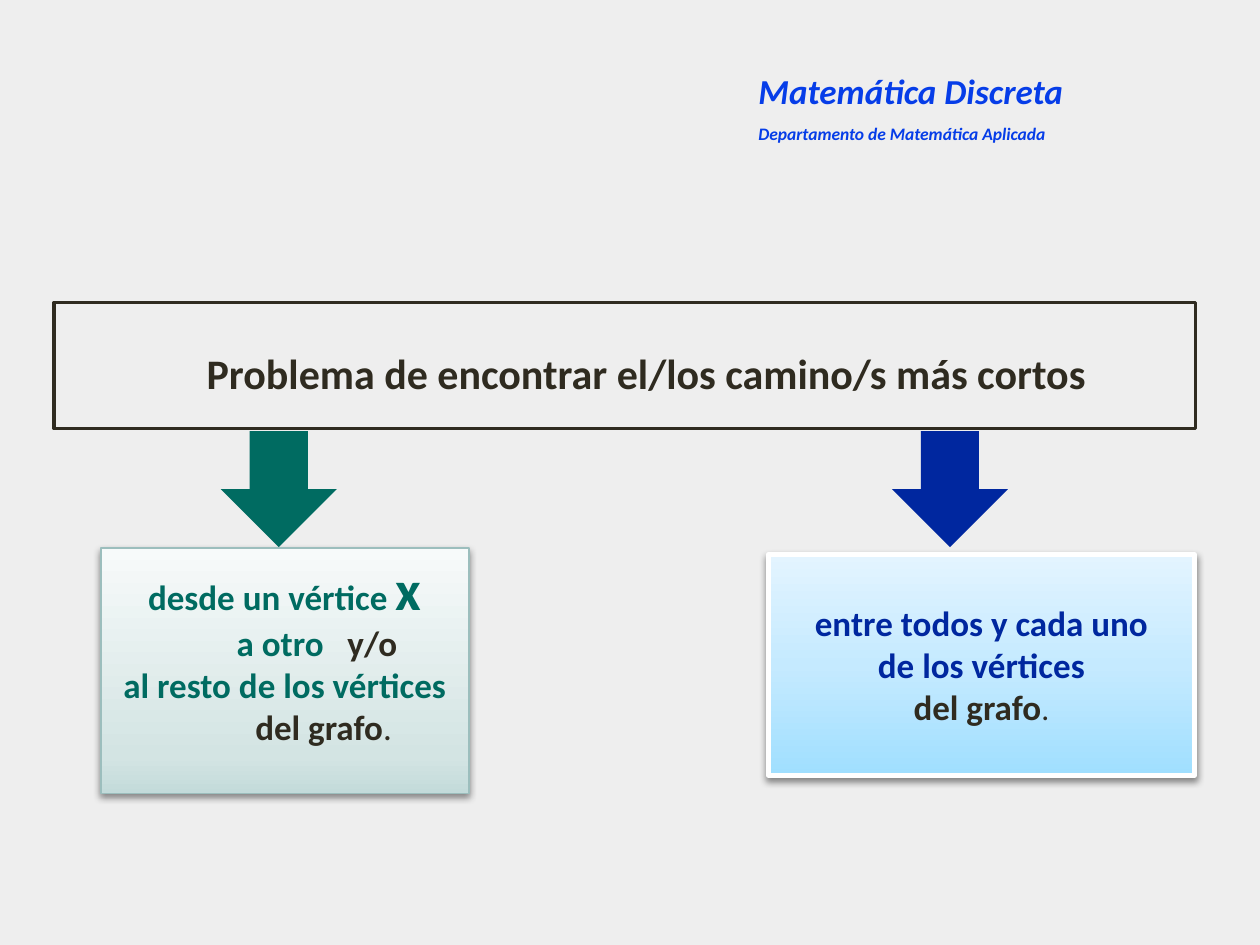
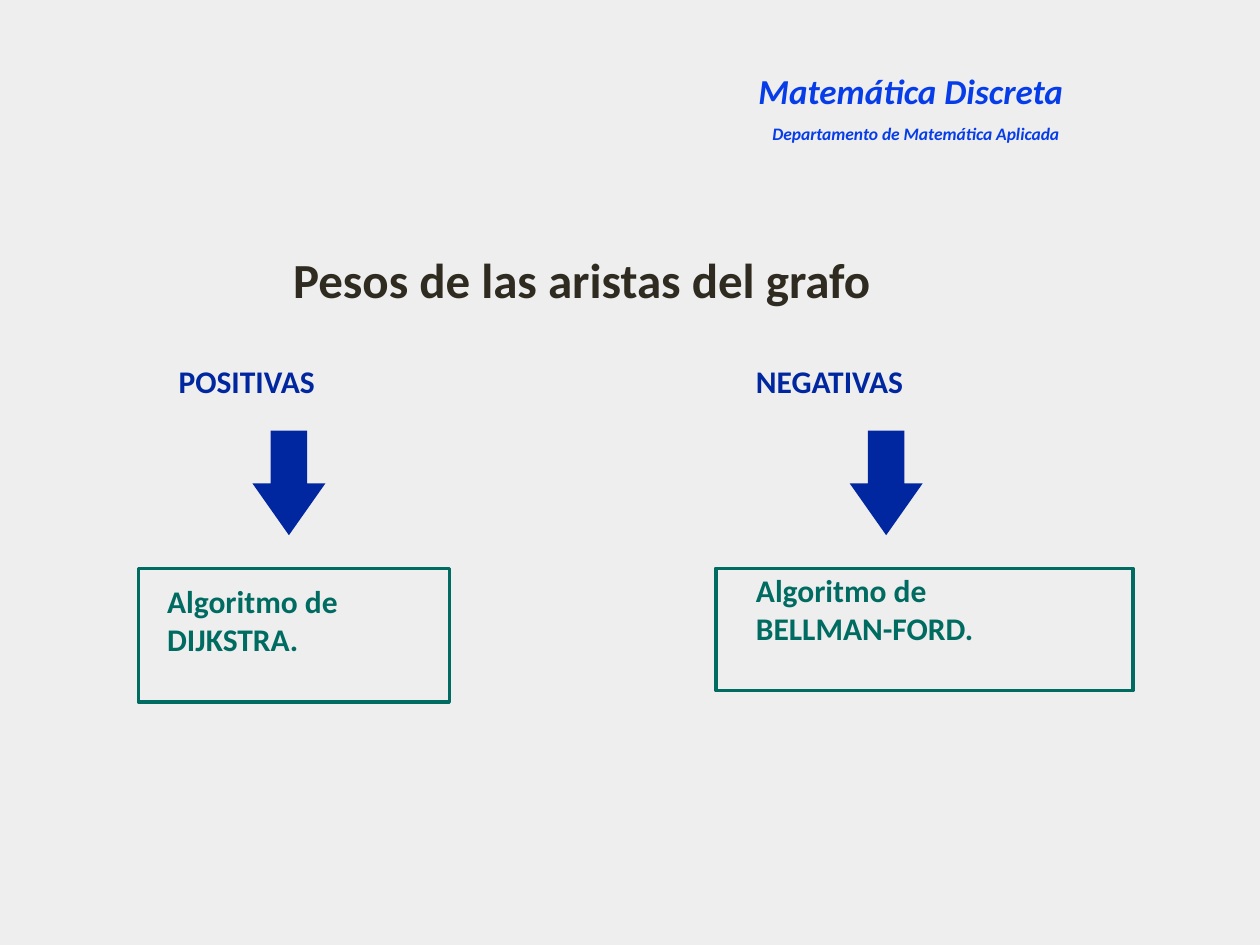
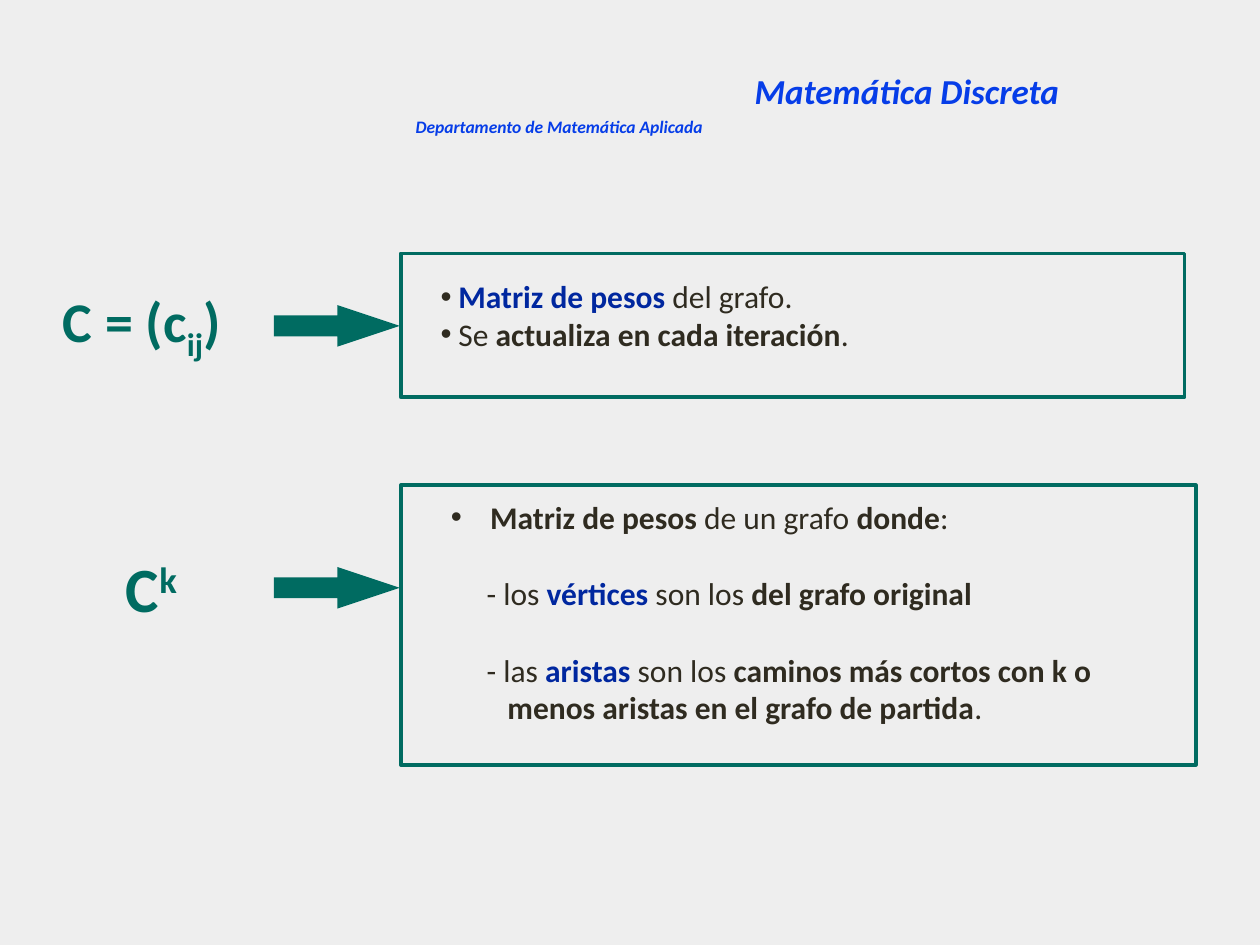
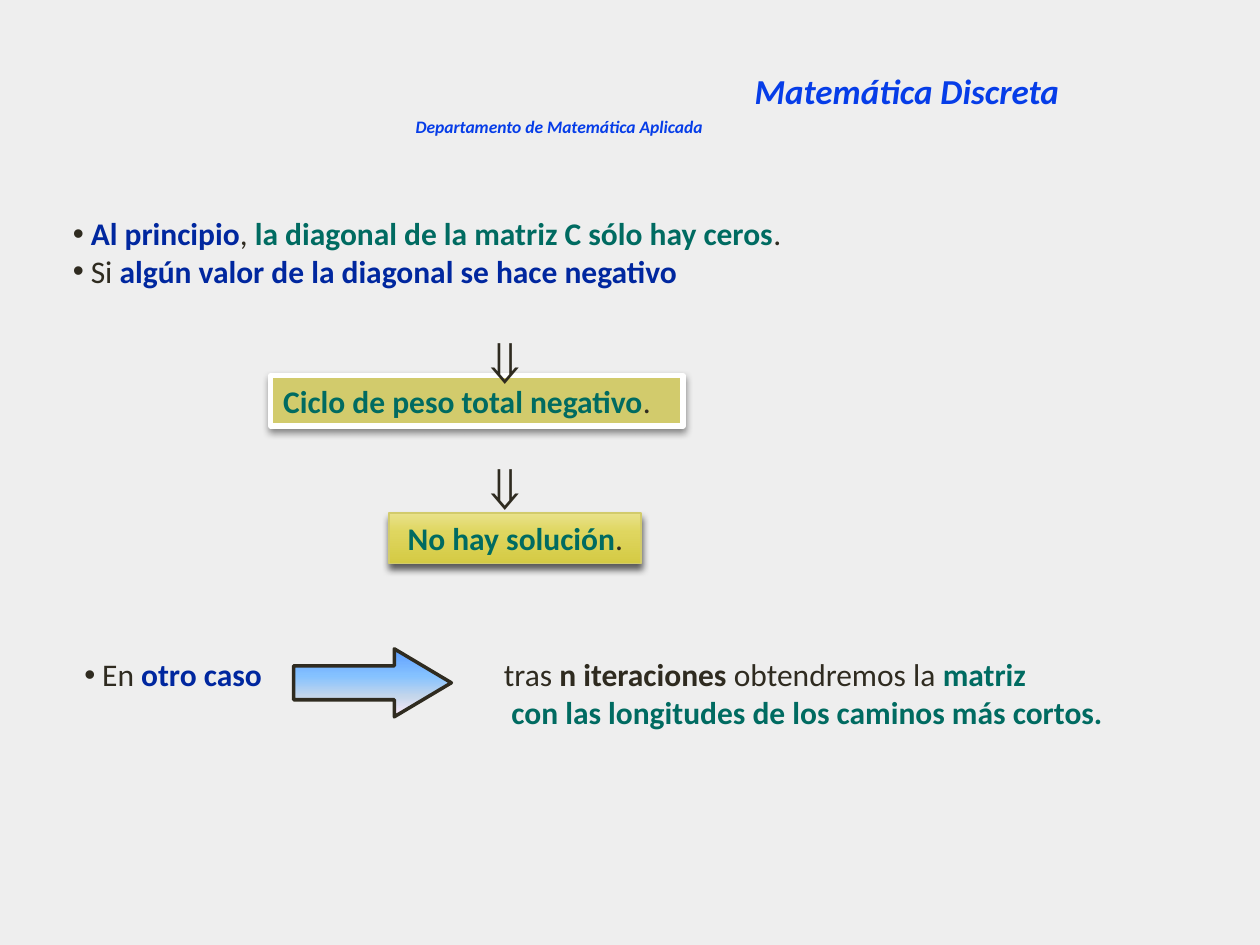
from lxml import etree
from pptx import Presentation
from pptx import util as u
from pptx.dml.color import RGBColor
from pptx.enum import shapes, text
from pptx.oxml.ns import qn

COLORS = {
    "ground": "EEEEEE", "ink": "2F2B20", "header": "063DE8", "green": "006B61",
    "blue": "00279F", "sage": "9CBEBD", "white": "FFFFFF", "olive": "D2CB6C",
}
GRADIENTS = {
    "sage": [(0, "C3DBDA"), (15, "D3E4E3"), (100, "F7FAFA")],
    "sky": [(0, "A0DFFF"), (50, "C5EAFF"), (100, "E3F4FF")],
    "gold": [(0, "D4CA44"), (62, "DFD65F"), (100, "E9E28C")],
    "dawn": [(0, "5E9EFF"), (40, "85C2FF"), (70, "C4D6EB"), (100, "FFEBFA")],
}
BOLD = {"bold": True}
BLUE = {"bold": True, "color": "blue"}
GREEN = {"bold": True, "color": "green"}
INK = {"bold": True, "color": "ink"}
PLAIN = {"bold": False, "color": "ink"}
RECTANGLE = shapes.MSO_SHAPE.RECTANGLE
DOWN = shapes.MSO_SHAPE.DOWN_ARROW
RIGHT = shapes.MSO_SHAPE.RIGHT_ARROW
CENTER = text.PP_ALIGN.CENTER
MIDDLE = text.MSO_ANCHOR.MIDDLE


def rgb(name):
    """Return the palette colour of that name."""
    return RGBColor.from_string(COLORS[name])


def place(shape, box):
    """Move a shape to a box of left, top, width and height in centimetres."""
    shape.left, shape.top, shape.width, shape.height = map(u.Cm, box)


def add_span(para, words, size=18, font="Calibri", color="ink", bold=False,
             italic=False, baseline=0, spacing=0):
    """Add one formatted run to a paragraph."""
    span = para.add_run()
    span.text = words
    span.font.name, span.font.size = font, u.Pt(size)
    span.font.bold, span.font.italic = bold, italic
    span.font.color.rgb = rgb(color)
    for key, value in (("baseline", baseline * 1000), ("spc", spacing * 100)):
        if value:
            span.font._element.set(key, str(value))


def format_para(para, align=None, left=0, hang=0, before=0, bullet=False):
    """Set alignment, indents, spacing and bullet of a paragraph."""
    para.alignment = align
    para.space_before = u.Pt(before)
    properties = para._p.get_or_add_pPr()
    properties.set("marL", str(u.Cm(left)))
    properties.set("indent", str(u.Cm(-hang)))
    if bullet:
        color = etree.SubElement(properties, qn("a:buClr"))
        etree.SubElement(color, qn("a:srgbClr"), val=COLORS["ink"])
        etree.SubElement(properties, qn("a:buFont"), typeface="Arial")
        etree.SubElement(properties, qn("a:buChar"), char="•")
    else:
        etree.SubElement(properties, qn("a:buNone"))


def write(shape, lines, align=None, anchor=text.MSO_ANCHOR.TOP, inset=0.25, layouts=None, **style):
    """Fill a shape with lines of plain words or of (words, style) spans."""
    frame = shape.text_frame
    frame.word_wrap, frame.auto_size = True, text.MSO_AUTO_SIZE.NONE
    frame.vertical_anchor = anchor
    frame.margin_left, frame.margin_right = u.Cm(inset), u.Cm(0.25)
    frame.margin_top = frame.margin_bottom = u.Cm(0.13)
    for index, line in enumerate(lines):
        para = frame.add_paragraph() if index else frame.paragraphs[0]
        format_para(para, **{"align": align, **(layouts[index] if layouts else {})})
        for words, change in [(line, {})] if isinstance(line, str) else line:
            add_span(para, words, **{**style, **change})
    return shape


def add_text(page, box, lines, **style):
    """Add a text box."""
    return write(page.shapes.add_textbox(*map(u.Cm, box)), lines, **style)


def add_list(page, index, box, lines, layouts):
    """Move and fill a body placeholder."""
    body = page.placeholders[index]
    place(body, box)
    write(body, lines, layouts=layouts)


def paint_gradient(shape, name, angle):
    """Fill a shape with a named gradient."""
    shape.fill.gradient()
    shape.fill.gradient_angle = angle
    stops = shape._element.spPr.find(".//" + qn("a:gsLst"))
    for stop in list(stops):
        stops.remove(stop)
    for position, color in GRADIENTS[name]:
        stop = etree.SubElement(stops, qn("a:gs"), pos=str(position * 1000))
        etree.SubElement(stop, qn("a:srgbClr"), val=color)


def cast_shadow(shape, alpha, distance):
    """Give a shape a soft shadow below it."""
    effects = shape._element.spPr.find(qn("a:effectLst"))
    shadow = etree.SubElement(effects, qn("a:outerShdw"), blurRad=str(u.Pt(4)),
                              dist=str(u.Pt(distance)), dir="5400000", rotWithShape="0")
    color = etree.SubElement(shadow, qn("a:srgbClr"), val="000000")
    etree.SubElement(color, qn("a:alpha"), val=str(alpha * 1000))


def add_figure(page, kind, box, fill=None, gradient=None, angle=90, line=None,
               width=2, shadow=None, adjust=()):
    """Add a preset shape with its fill, line and shadow."""
    shape = page.shapes.add_shape(kind, *map(u.Cm, box))
    shape.shadow.inherit = False
    for index, value in enumerate(adjust):
        shape.adjustments[index] = value
    if gradient:
        paint_gradient(shape, gradient, angle)
    elif fill:
        shape.fill.solid()
        shape.fill.fore_color.rgb = rgb(fill)
    else:
        shape.fill.background()
    if line:
        shape.line.color.rgb = rgb(line)
        shape.line.width = u.Pt(width)
    else:
        shape.line.fill.background()
    if shadow:
        cast_shadow(shape, *shadow)
    return shape


def add_page(deck, layout, title_at, department_at):
    """Add a slide with the course title and the department."""
    page = deck.slides.add_slide(deck.slide_layouts[layout])
    style = {"color": "header", "bold": True, "italic": True}
    place(page.shapes.title, (*title_at, 10.16, 1.09))
    write(page.shapes.title, ["Matemática Discreta"], align=text.PP_ALIGN.LEFT, size=20, **style)
    add_text(page, (*department_at, 6.6, 0.66), ["Departamento de Matemática Aplicada"],
             size=10, **style)
    return page


def build_problem(deck):
    """Build the slide with the two kinds of shortest path problem."""
    page = add_page(deck, 5, (15.04, 1.27), (15.04, 2.36))
    add_text(page, (2.08, 6.1, 20.42, 2.82), ["Problema de encontrar el/los camino/s más cortos"],
             align=CENTER, anchor=MIDDLE, inset=1.73, size=24, bold=True)
    add_figure(page, RECTANGLE, (1.09, 6.1, 23.01, 2.54), line="ink")
    for left, color in ((4.45, "green"), (17.98, "blue")):
        add_figure(page, DOWN, (left, 8.69, 2.34, 2.34), fill=color, adjust=(0.5, 0.5))
    single = add_figure(page, RECTANGLE, (2.03, 11.05, 7.42, 4.95), gradient="sage",
                        line="sage", width=1, shadow=(43, 2))
    write(single, [
        [("desde un vértice ", {}), ("x", {"size": 32})],
        [("a otro", {}), (" ", {"spacing": 9}), ("y/o", INK)],
        "al resto de los vértices",
        [("del grafo", INK), (".", PLAIN)],
    ], align=CENTER, layouts=[{}, {"left": 1.3}, {}, {"left": 1.57}], size=20, **GREEN)
    every = add_figure(page, RECTANGLE, (15.49, 11.18, 8.59, 4.45), gradient="sky",
                       line="white", width=3, shadow=(43, 2))
    write(every, [
        "entre todos y cada uno",
        "de los vértices",
        [("del grafo", INK), (".", {**PLAIN, "size": 18})],
    ], align=CENTER, anchor=MIDDLE, size=20, **BLUE)


def add_branch(page, box, sign, algorithm, arrow_in, name_in):
    """Add a sign, an arrow and the framed algorithm that serves it."""
    left, top, width, height = box
    add_text(page, (left + 0.56, top - 4.3, 5.3, 1.27), [sign], **BLUE)
    add_figure(page, DOWN, (left + arrow_in, top - 2.78, 1.47, 2.11), fill="blue",
               adjust=(0.5, 0.71))
    across, down = name_in
    add_text(page, (left + across, top + down, width - across, 2.29),
             ["Algoritmo de", algorithm], **GREEN)
    add_figure(page, RECTANGLE, box, line="green")


def build_weights(deck):
    """Build the slide that picks an algorithm by the sign of the weights."""
    page = add_page(deck, 5, (15.04, 1.27), (15.32, 2.36))
    add_text(page, (5.66, 4.9, 12.47, 1.42), ["Pesos de las aristas del grafo"],
             size=28, bold=True)
    add_branch(page, (2.79, 11.46, 6.27, 2.69), "POSITIVAS", "DIJKSTRA.", 2.3, (0.33, 0.15))
    add_branch(page, (14.43, 11.46, 8.41, 2.46), "NEGATIVAS", "BELLMAN-FORD.", 2.7, (0.56, -0.08))


def add_definition(page, box, arrow_in, symbol_box, symbol, size):
    """Add a symbol with an arrow to the frame that explains it."""
    left, top, _, _ = box
    add_text(page, symbol_box, [symbol], size=size, **GREEN)
    add_figure(page, RECTANGLE, box, line="green")
    add_figure(page, RIGHT, (left - 2.56, top + arrow_in, 2.54, 0.84), fill="green",
               adjust=(0.5, 1.5))


def build_matrices(deck):
    """Build the slide that defines the two matrices."""
    page = add_page(deck, 3, (14.96, 1.27), (8.13, 2.21))
    add_definition(page, (8.08, 5.11, 15.8, 2.9), 1.04, (1.02, 5.64, 4.24, 1.6),
                   [("C = (c", {}), ("ij", {"baseline": -25}), (")", {})], 32)
    add_definition(page, (8.08, 9.78, 16.03, 5.64), 1.65, (2.29, 10.95, 1.9, 1.78),
                   [("C", {}), ("k", {"baseline": 30})], 36)
    point = {"left": 0.79, "hang": 0.36, "bullet": True}
    add_list(page, 1, (8.2, 5.46, 12.62, 2.29), [
        [("Matriz de pesos ", BLUE), ("del grafo.", {})],
        [("Se ", {}), ("actualiza en cada iteración", BOLD), (".", {})],
    ], [point, point])
    add_list(page, 2, (8.84, 9.91, 15.44, 4.88), [
        [("Matriz de pesos ", BOLD), ("de un grafo ", {}), ("donde", BOLD), (":", {})],
        [("- los ", {}), ("vértices", BLUE), (" son los ", {}), ("del grafo original", BOLD)],
        [("- las ", {}), ("aristas", BLUE), (" son los ", {}),
         ("caminos más cortos con k o", BOLD)],
        [("menos aristas en el grafo de partida", BOLD), (".", {})],
    ], [{"left": 0.79, "hang": 0.79, "bullet": True}, {"left": 0.72, "before": 22},
        {"left": 0.72, "before": 22}, {"left": 1.14}])


def build_diagonal(deck):
    """Build the slide that reads the result from the diagonal."""
    page = add_page(deck, 1, (14.96, 1.27), (8.13, 2.21))
    point = {"left": 0.36, "hang": 0.36, "bullet": True}
    add_list(page, 1, (1.22, 4.19, 20.65, 2.29), [
        [("Al principio", BLUE), (", ", {}),
         ("la diagonal de la matriz C sólo hay ceros", GREEN), (".", {})],
        [("Si ", {}), ("algún valor de la diagonal se hace negativo", BLUE)],
    ], [point, point])
    cycle = add_figure(page, RECTANGLE, (5.46, 7.57, 8.31, 1.02), fill="olive",
                       line="white", width=3, shadow=(43, 2))
    write(cycle, [[("Ciclo de peso total negativo", GREEN), (".", {})]],
          align=text.PP_ALIGN.LEFT)
    unsolved = add_figure(page, RECTANGLE, (7.85, 10.34, 5.08, 1.02), gradient="gold",
                          line="olive", width=1, shadow=(61, 3))
    write(unsolved, [[("No hay solución", GREEN), (".", {})]], align=CENTER)
    for top in (6.35, 8.89):
        add_text(page, (9.47, top, 1.27, 1.78), ["⇓"], size=36, font="Arial", bold=True)
    add_text(page, (1.45, 13.08, 4.4, 1.02), [[("En ", {}), ("otro caso", BLUE)]],
             layouts=[point])
    add_figure(page, RIGHT, (5.92, 13.08, 3.18, 1.37), gradient="dawn", angle=270,
               line="ink", adjust=(0.5, 0.84))
    add_text(page, (9.91, 13.08, 14, 1.78), [
        [("tras ", {}), ("n iteraciones ", BOLD), ("obtendremos la ", {}), ("matriz", GREEN)],
        [("con las longitudes de los caminos más cortos.", GREEN)],
    ], layouts=[{}, {"left": 0.15}])


def main():
    """Build and save the deck."""
    deck = Presentation()
    deck.slide_width, deck.slide_height = u.Cm(25.4), u.Cm(19.05)
    ground = deck.slide_master.background.fill
    ground.solid()
    ground.fore_color.rgb = rgb("ground")
    for build in (build_problem, build_weights, build_matrices, build_diagonal):
        build(deck)
    deck.save("out.pptx")


if __name__ == "__main__":
    main()
